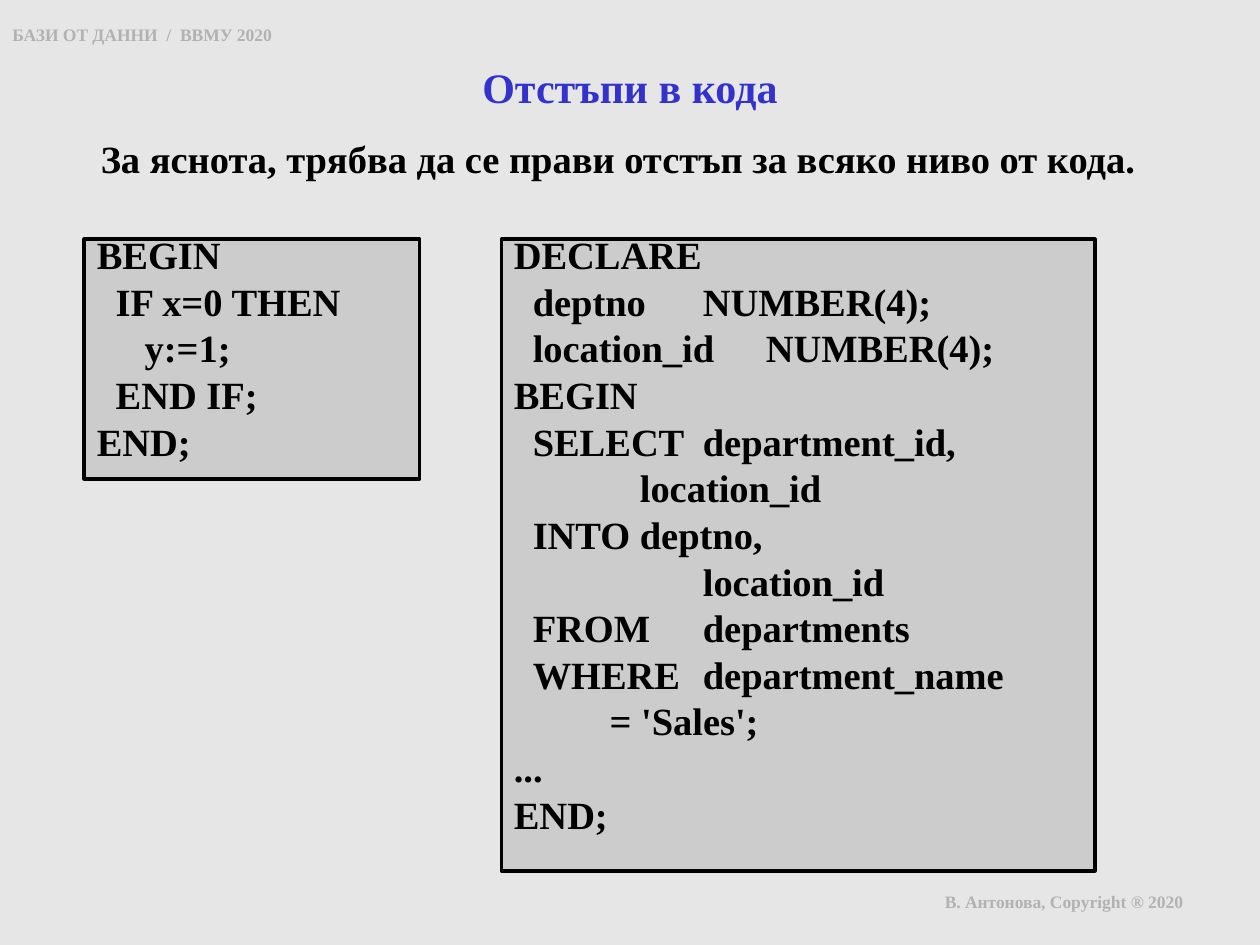
from dataclasses import dataclass

from lxml.etree import SubElement
from pptx import Presentation
from pptx.dml.color import RGBColor
from pptx.enum.shapes import MSO_SHAPE as Shape
from pptx.enum.text import MSO_ANCHOR as Anchor, MSO_AUTO_SIZE as AutoSize, PP_ALIGN as Align
from pptx.oxml.ns import qn
from pptx.util import Inches, Pt


@dataclass(frozen=True)
class Theme:
    font: str = "Times New Roman"
    background: str = "E6E6E6"
    panel: str = "CCCCCC"
    ink: str = "000000"
    title: str = "3333CC"
    muted: str = "B2B2B2"
    title_size: float = 24
    body_size: float = 22
    note_size: float = 10
    border: float = 2.25


@dataclass(frozen=True)
class Box:
    left: float
    top: float
    width: float
    height: float

    def lengths(self):
        return [Inches(v) for v in (self.left, self.top, self.width, self.height)]


@dataclass(frozen=True)
class Line:
    """One line of text; indent and tab are inches from the text edge."""
    text: str
    indent: float = 0
    tab: float = 0


THEME = Theme()
LEVEL = 0.15
COLUMN = 1.5

IF_CODE = [
    Line("BEGIN"),
    Line("IF x=0 THEN", LEVEL),
    Line("y:=1;", 0.38),
    Line("END IF;", LEVEL),
    Line("END;"),
]
SELECT_CODE = [
    Line("DECLARE"),
    Line("deptno\tNUMBER(4);", LEVEL, 1.58),
    Line("location_id\tNUMBER(4);", LEVEL, 1.74),
    Line("BEGIN"),
    Line("SELECT\tdepartment_id,", LEVEL, COLUMN),
    Line("location_id", 1),
    Line("INTO\tdeptno,", LEVEL, COLUMN),
    Line("location_id", COLUMN),
    Line("FROM\tdepartments", LEVEL, 2),
    Line("WHERE\tdepartment_name", LEVEL, COLUMN),
    Line("= 'Sales';", 0.76),
    Line("..."),
    Line("END;"),
]


def color(code: str) -> RGBColor:
    return RGBColor.from_string(code)


def set_indent(paragraph, line: Line) -> None:
    properties = paragraph._p.get_or_add_pPr()
    properties.set("marL", "0")
    properties.set("indent", str(Inches(line.indent)))
    if line.tab:
        stops = SubElement(properties, qn("a:tabLst"))
        SubElement(stops, qn("a:tab"), pos=str(Inches(line.tab)), algn="l")


def write(shape, lines: list[Line], *, size: float = THEME.body_size, ink: str = THEME.ink,
          align=Align.LEFT, before: float = 0, spacing: float = 1,
          inset: tuple[float, float] = (0.1, 0.05), wrap: bool = True) -> None:
    frame = shape.text_frame
    frame.auto_size = AutoSize.NONE
    frame.word_wrap = wrap
    frame.vertical_anchor = Anchor.TOP
    frame.margin_left = frame.margin_right = Inches(inset[0])
    frame.margin_top = frame.margin_bottom = Inches(inset[1])
    for index, line in enumerate(lines):
        paragraph = frame.add_paragraph() if index else frame.paragraphs[0]
        paragraph.alignment = align
        paragraph.space_before = Pt(before)
        paragraph.line_spacing = spacing
        set_indent(paragraph, line)
        run = paragraph.add_run()
        run.text = line.text
        run.font.name = THEME.font
        run.font.size = Pt(size)
        run.font.bold = True
        run.font.color.rgb = color(ink)


def add_text(slide, box: Box, text: str, **style) -> None:
    write(slide.shapes.add_textbox(*box.lengths()), [Line(text)], **style)


def add_title(slide, box: Box, text: str, **style) -> None:
    title = slide.shapes.title
    title.left, title.top, title.width, title.height = box.lengths()
    write(title, [Line(text)], **style)


def add_code(slide, box: Box, lines: list[Line]) -> None:
    panel = slide.shapes.add_shape(Shape.RECTANGLE, *box.lengths())
    panel.shadow.inherit = False
    panel.fill.solid()
    panel.fill.fore_color.rgb = color(THEME.panel)
    panel.line.color.rgb = color(THEME.ink)
    panel.line.width = Pt(THEME.border)
    write(panel, lines, before=9.5, spacing=0.65)


def main() -> None:
    deck = Presentation()
    deck.slide_width, deck.slide_height = Inches(10), Inches(7.5)
    slide = deck.slides.add_slide(deck.slide_layouts[5])
    slide.background.fill.solid()
    slide.background.fill.fore_color.rgb = color(THEME.background)

    note = dict(size=THEME.note_size, ink=THEME.muted)
    heading = dict(inset=(0.01, 0.01), before=4)
    add_text(slide, Box(0, 0.14, 2.99, 0.27), "БАЗИ ОТ ДАННИ  /  ВВМУ 2020", wrap=False, **note)
    add_text(slide, Box(7.4, 7.02, 2.6, 0.42), "В. Антонова, Copyright ® 2020", **note)
    add_title(slide, Box(0.67, 0.48, 8.66, 0.67), "Отстъпи в кода",
              size=THEME.title_size, ink=THEME.title, align=Align.CENTER, **heading)
    add_text(slide, Box(0.79, 1.06, 8.66, 0.84),
             "За яснота, трябва да се прави отстъп за всяко ниво от кода.", **heading)
    add_code(slide, Box(0.67, 1.9, 2.66, 1.9), IF_CODE)
    add_code(slide, Box(3.98, 1.9, 4.71, 5.01), SELECT_CODE)
    deck.save("out.pptx")


if __name__ == "__main__":
    main()
